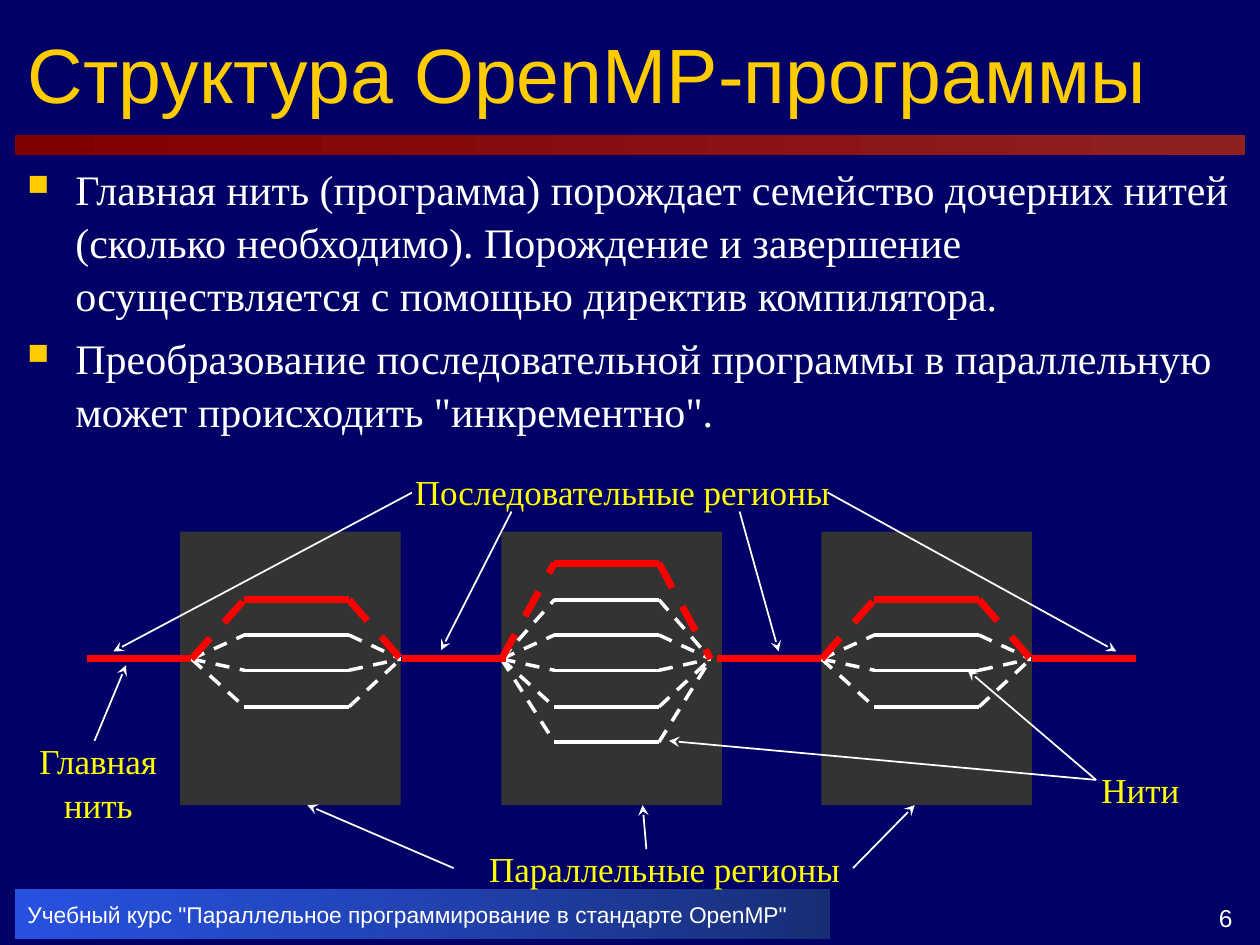
from dataclasses import dataclass

from lxml import etree
from pptx import Presentation
from pptx.dml.color import RGBColor
from pptx.enum.dml import MSO_LINE
from pptx.enum.shapes import MSO_CONNECTOR, MSO_SHAPE
from pptx.enum.text import MSO_ANCHOR, MSO_AUTO_SIZE, PP_ALIGN
from pptx.oxml.ns import qn
from pptx.util import Inches, Pt

RECTANGLE = MSO_SHAPE.RECTANGLE
STRAIGHT = MSO_CONNECTOR.STRAIGHT
DASH = MSO_LINE.DASH
TOP, MIDDLE, BOTTOM = MSO_ANCHOR.TOP, MSO_ANCHOR.MIDDLE, MSO_ANCHOR.BOTTOM
LEFT, CENTER, RIGHT = PP_ALIGN.LEFT, PP_ALIGN.CENTER, PP_ALIGN.RIGHT
NO_AUTOFIT = MSO_AUTO_SIZE.NONE


@dataclass(frozen=True)
class Theme:
    background: str = "000066"
    accent: str = "FFCC00"
    text: str = "FFFFFF"
    label: str = "FFFF00"
    region: str = "333333"
    main_thread: str = "FF0000"
    thread: str = "FFFFFF"
    rule: tuple = ("800000", "902020")
    footer: tuple = ("3366FF", "182F76")
    heading_font: str = "Arial"
    body_font: str = "Times New Roman"
    title_size: int = 44
    body_size: int = 24
    label_size: int = 20
    number_size: int = 14
    footer_size: int = 13
    main_width: int = 4
    thread_width: int = 2
    arrow_width: int = 1
    line_spacing: float = 1.05


def color(value):
    return RGBColor.from_string(value)


class SlideBuilder:
    def __init__(self, deck, theme):
        self.theme = theme
        self.page = deck.slides.add_slide(deck.slide_layouts[5])
        self.page.background.fill.solid()
        self.page.background.fill.fore_color.rgb = color(theme.background)

    def place(self, shape, left, top, width, height):
        shape.left, shape.top = Inches(left), Inches(top)
        shape.width, shape.height = Inches(width), Inches(height)

    def style(self, para, font, size, fill, align=LEFT):
        para.alignment = align
        for span in para.runs:
            span.font.name = font
            span.font.size = Pt(size)
            span.font.color.rgb = color(fill)

    def title(self, text, *position):
        box = self.page.shapes.title
        self.place(box, *position)
        frame = box.text_frame
        frame.text = text
        frame.auto_size = NO_AUTOFIT
        frame.vertical_anchor = MIDDLE
        self.style(frame.paragraphs[0], self.theme.heading_font,
                   self.theme.title_size, self.theme.accent)

    def rectangle(self, left, top, width, height):
        box = self.page.shapes.add_shape(
            RECTANGLE, Inches(left), Inches(top), Inches(width), Inches(height))
        box.shadow.inherit = False
        box.line.fill.background()
        return box

    def solid(self, fill, *position):
        box = self.rectangle(*position)
        box.fill.solid()
        box.fill.fore_color.rgb = color(fill)

    def gradient(self, fills, *position, opacity=100):
        box = self.rectangle(*position)
        box.fill.gradient()
        box.fill.gradient_angle = 0
        for stop, fill in zip(box.fill.gradient_stops, fills):
            stop.color.rgb = color(fill)
        if opacity < 100:
            first = next(box._element.spPr.iter(qn("a:srgbClr")))
            etree.SubElement(first, qn("a:alpha"), val=str(opacity * 1000))
        return box

    def footer(self, text, *position):
        frame = self.gradient(self.theme.footer, *position, opacity=80).text_frame
        frame.text = text
        frame.word_wrap = False
        frame.vertical_anchor = MIDDLE
        self.style(frame.paragraphs[0], self.theme.heading_font,
                   self.theme.footer_size, self.theme.text)

    def text_box(self, text, left, top, width, height, anchor=TOP):
        box = self.page.shapes.add_textbox(
            Inches(left), Inches(top), Inches(width), Inches(height))
        frame = box.text_frame
        frame.word_wrap = True
        frame.vertical_anchor = anchor
        frame.text = text
        return frame

    def number(self, text, *position):
        frame = self.text_box(text, *position, anchor=BOTTOM)
        self.style(frame.paragraphs[0], self.theme.heading_font,
                   self.theme.number_size, self.theme.text, RIGHT)

    def label(self, text, *position):
        para = self.text_box(text, *position).paragraphs[0]
        para.line_spacing = self.theme.line_spacing
        self.style(para, self.theme.body_font, self.theme.label_size,
                   self.theme.label, CENTER)

    def bullets(self, items, *position):
        frame = self.text_box("\n".join(items), *position)
        for index, para in enumerate(frame.paragraphs):
            para.line_spacing = self.theme.line_spacing
            if index:
                para.space_before = Pt(6)
            properties = para._p.get_or_add_pPr()
            properties.set("marL", str(Inches(0.38)))
            properties.set("indent", str(Inches(-0.38)))
            bullet_color = etree.SubElement(properties, qn("a:buClr"))
            etree.SubElement(bullet_color, qn("a:srgbClr"), val=self.theme.accent)
            etree.SubElement(properties, qn("a:buSzPct"), val="70000")
            etree.SubElement(properties, qn("a:buChar"), char="■")
            self.style(para, self.theme.body_font, self.theme.body_size, self.theme.text)

    def line(self, start, end, fill, width, dashed=False):
        connector = self.page.shapes.add_connector(
            STRAIGHT, *map(Inches, (*start, *end)))
        connector.line.color.rgb = color(fill)
        connector.line.width = Pt(width)
        if dashed:
            connector.line.dash_style = DASH
        etree.SubElement(connector._element.spPr, qn("a:effectLst"))
        return connector

    def arrow(self, start, end):
        connector = self.line(start, end, self.theme.thread, self.theme.arrow_width)
        etree.SubElement(connector.line._get_or_add_ln(), qn("a:tailEnd"), type="stealth")

    def main_line(self, start, end, dashed=False):
        self.line(start, end, self.theme.main_thread, self.theme.main_width, dashed)

    def thread_line(self, start, end, dashed=False):
        self.line(start, end, self.theme.thread, self.theme.thread_width, dashed)

    def threads(self, fork, axis, rows):
        begin, finish, join = fork + 0.42, fork + 1.25, fork + 1.66
        for row in reversed(rows):
            draw = self.main_line if row == rows[0] else self.thread_line
            draw((begin, row), (finish, row))
            draw((fork, axis), (begin, row), dashed=True)
            draw((finish, row), (join, axis), dashed=True)


def main():
    theme = Theme()
    deck = Presentation()
    deck.slide_width, deck.slide_height = Inches(10), Inches(7.5)
    slide = SlideBuilder(deck, theme)

    slide.gradient(theme.rule, 0.12, 1.07, 9.76, 0.16)
    slide.number("6", 8.86, 7.06, 1.02, 0.39)
    slide.footer('Учебный курс "Параллельное программирование в стандарте OpenMP"',
                 0.12, 7.06, 6.46, 0.39)
    slide.title("Структура OpenMP-программы", 0.12, 0.09, 9.76, 0.98)
    slide.bullets([
        "Главная нить (программа) порождает семейство дочерних нитей (сколько "
        "необходимо). Порождение и завершение осуществляется с помощью директив "
        "компилятора.",
        "Преобразование последовательной программы в параллельную может "
        'происходить "инкрементно".',
    ], 0.12, 1.23, 9.76, 2.28)

    axis = 5.23
    rows = [4.47, 4.76, 5.04, 5.32, 5.61, 5.89]
    regions = [(1.43, 1.75, 1.52, rows[1:5]),
               (3.98, 1.75, 3.98, rows),
               (6.52, 1.67, 6.52, rows[1:5])]
    for left, width, fork, region_rows in regions:
        slide.solid(theme.region, left, 4.22, width, 2.17)
        slide.threads(fork, axis, region_rows)
    for index in range(4):
        start = 0.69 + 2.5 * index
        slide.main_line((start, axis), (start + 0.83, axis))

    for text, *position in [
        ("Последовательные регионы", 3.11, 3.67, 3.66, 0.77),
        ("Параллельные регионы", 3.74, 6.66, 3.07, 0.77),
        ("Главная нить", 0.12, 5.8, 1.32, 0.77),
        ("Нити", 8.39, 6.03, 1.32, 0.43),
    ]:
        slide.label(text, *position)

    for start, end in [
        ((3.27, 3.91), (0.9, 5.17)), ((4.06, 4.06), (3.5, 5.16)),
        ((5.87, 4.06), (6.18, 5.17)), ((6.57, 3.91), (8.86, 5.17)),
        ((3.6, 6.89), (2.44, 6.39)), ((5.13, 6.74), (5.1, 6.39)),
        ((6.77, 6.89), (7.26, 6.39)), ((0.75, 5.88), (1, 5.28)),
        ((8.7, 6.19), (5.31, 5.88)), ((8.7, 6.19), (7.68, 5.32)),
    ]:
        slide.arrow(start, end)

    deck.save("out.pptx")


if __name__ == "__main__":
    main()
